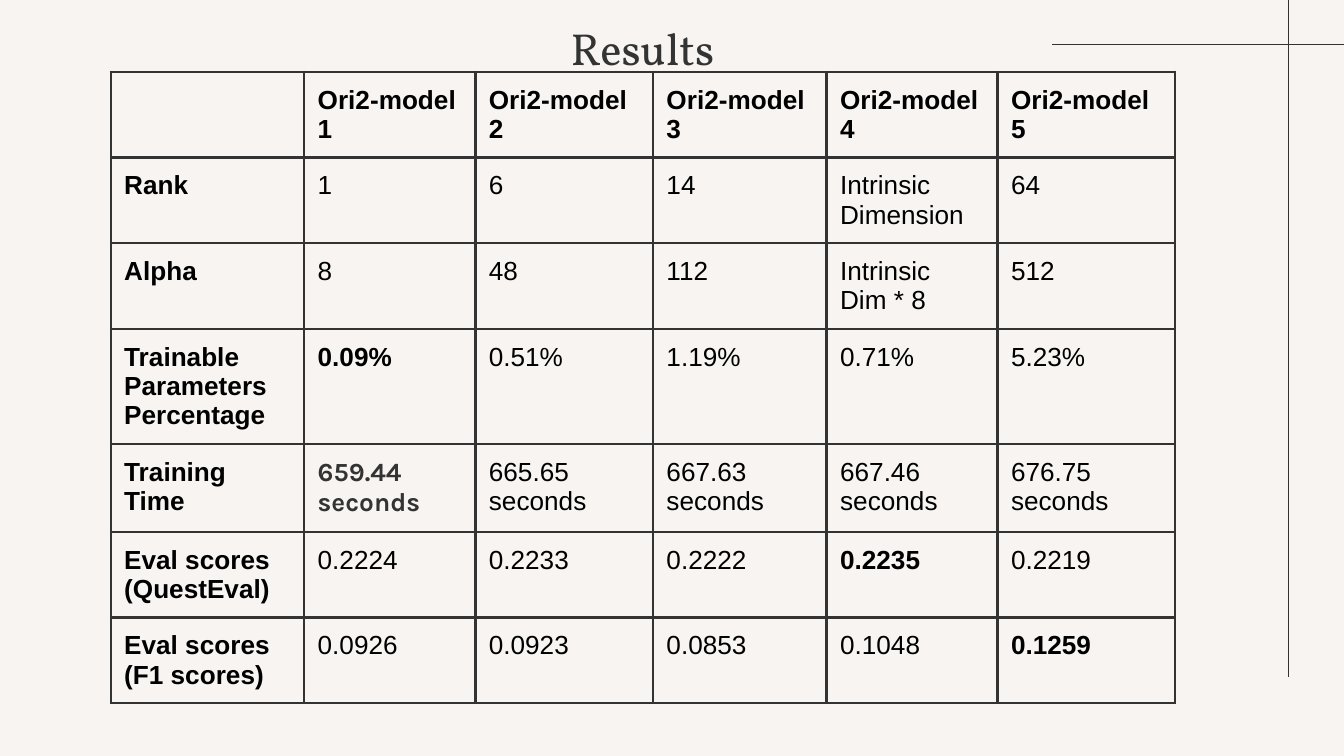
from dataclasses import dataclass
from lxml.etree import SubElement
from pptx import Presentation
from pptx.dml.color import RGBColor
from pptx.enum.shapes import MSO_CONNECTOR
from pptx.enum.text import MSO_ANCHOR, MSO_AUTO_SIZE, PP_ALIGN
from pptx.oxml import parse_xml
from pptx.oxml.ns import nsdecls, qn
from pptx.util import Inches, Pt


@dataclass(frozen=True)
class Theme:
    back: str = "F7F4F1"
    ink: str = "333333"
    text: str = "000000"
    head: str = "Vollkorn"
    body: str = "Arial"
    note: str = "Karla"
    big: int = 24
    small: int = 14
    thin: float = 0.75
    rule: float = 1.5


def apply(item, **values):
    for key, value in values.items():
        setattr(item, key, value)


def unit(count):
    """Length of a number of grid steps, ten to the inch."""
    return Inches(count / 10)


class Page:
    def __init__(self, deck, theme):
        self.theme = theme
        self.slide = deck.slides.add_slide(deck.slide_layouts[5])
        fill = self.slide.background.fill
        fill.solid()
        fill.fore_color.rgb = RGBColor.from_string(theme.back)

    def style(self, para, text, face, size, color, bold=False):
        run = para.add_run()
        run.text = text
        apply(run.font, name=face, size=Pt(size), bold=bold)
        run.font.color.rgb = RGBColor.from_string(color)

    def title(self, text, left, top, width, height):
        box = self.slide.shapes.title
        apply(box, left=unit(left), top=unit(top), width=unit(width), height=unit(height))
        frame = box.text_frame
        pad = unit(1)
        apply(frame, word_wrap=True, auto_size=MSO_AUTO_SIZE.NONE,
              vertical_anchor=MSO_ANCHOR.TOP, margin_left=pad,
              margin_right=pad, margin_top=pad, margin_bottom=pad)
        para = frame.paragraphs[0]
        para.alignment = PP_ALIGN.CENTER
        self.style(para, text, self.theme.head, self.theme.big, self.theme.ink)

    def line(self, *ends):
        link = self.slide.shapes.add_connector(MSO_CONNECTOR.STRAIGHT, *map(unit, ends))
        link.line.width = Pt(self.theme.thin)
        link.line.color.rgb = RGBColor.from_string(self.theme.ink)
        SubElement(link._element.spPr, qn("a:effectLst"))

    def border(self, cell):
        props = cell._tc.get_or_add_tcPr()
        for spot, side in enumerate("LRTB"):
            props.insert(spot, parse_xml(
                f'<a:ln{side} {nsdecls("a")} w="{Pt(self.theme.rule)}"><a:solidFill>'
                f'<a:srgbClr val="{self.theme.ink}"/></a:solidFill></a:ln{side}>'))

    def cell(self, cell, text, bold, accent):
        theme, pad = self.theme, unit(1)
        apply(cell, margin_left=pad, margin_right=pad, margin_top=pad,
              margin_bottom=pad, vertical_anchor=MSO_ANCHOR.TOP)
        cell.fill.background()
        self.border(cell)
        if not text:
            return
        para = cell.text_frame.paragraphs[0]
        face, color = theme.body, theme.text
        if accent:
            face, color = theme.note, theme.ink
            apply(para, alignment=PP_ALIGN.JUSTIFY, space_before=Pt(10), space_after=Pt(10))
        self.style(para, text, face, theme.small, color, bold)

    def table(self, data, left, top, cols, rows, best, accent):
        shape = self.slide.shapes.add_table(
            len(rows), len(cols), unit(left), unit(top), unit(sum(cols)), unit(sum(rows)))
        grid = shape.table
        apply(grid, first_row=False, horz_banding=False)
        for col, width in zip(grid.columns, cols):
            col.width = unit(width)
        for row, height in zip(grid.rows, rows):
            row.height = unit(height)
        for r, record in enumerate(data):
            for c, text in enumerate(record):
                bold = r == 0 or c == 0 or (r, c) in best
                self.cell(grid.cell(r, c), text, bold, (r, c) == accent)


def main():
    deck = Presentation()
    apply(deck, slide_width=unit(100), slide_height=unit(56.25))
    page = Page(deck, Theme())

    # Corner lines
    page.line(78.3, 3.3, 100, 3.3)
    page.line(95.86, 50.35, 95.86, 0)

    # Heading
    page.title("Results", 7.9, 0.55, 79.8, 11.6)

    # Scores by model, the best of each row in bold
    times = ["659.44", "665.65", "667.63", "667.46", "676.75"]
    data = [
        ["", *(f"Ori2-model {n}" for n in range(1, 6))],
        ["Rank", "1", "6", "14", "Intrinsic Dimension", "64"],
        ["Alpha", "8", "48", "112", "Intrinsic Dim * 8", "512"],
        ["Trainable Parameters Percentage", "0.09%", "0.51%", "1.19%", "0.71%", "5.23%"],
        ["Training Time", *(f"{time} seconds" for time in times)],
        ["Eval scores (QuestEval)", "0.2224", "0.2233", "0.2222", "0.2235", "0.2219"],
        ["Eval scores (F1 scores)", "0.0926", "0.0923", "0.0853", "0.1048", "0.1259"],
    ]
    page.table(data, 8.24, 5.35,
               cols=[14.4, 12.74, 13.22, 12.92, 12.72, 13.2],
               rows=[8.4 if row[0].startswith("Trainable") else 6.2 for row in data],
               best={(3, 1), (4, 1), (5, 4), (6, 5)}, accent=(4, 1))

    deck.save("out.pptx")


if __name__ == "__main__":
    main()
